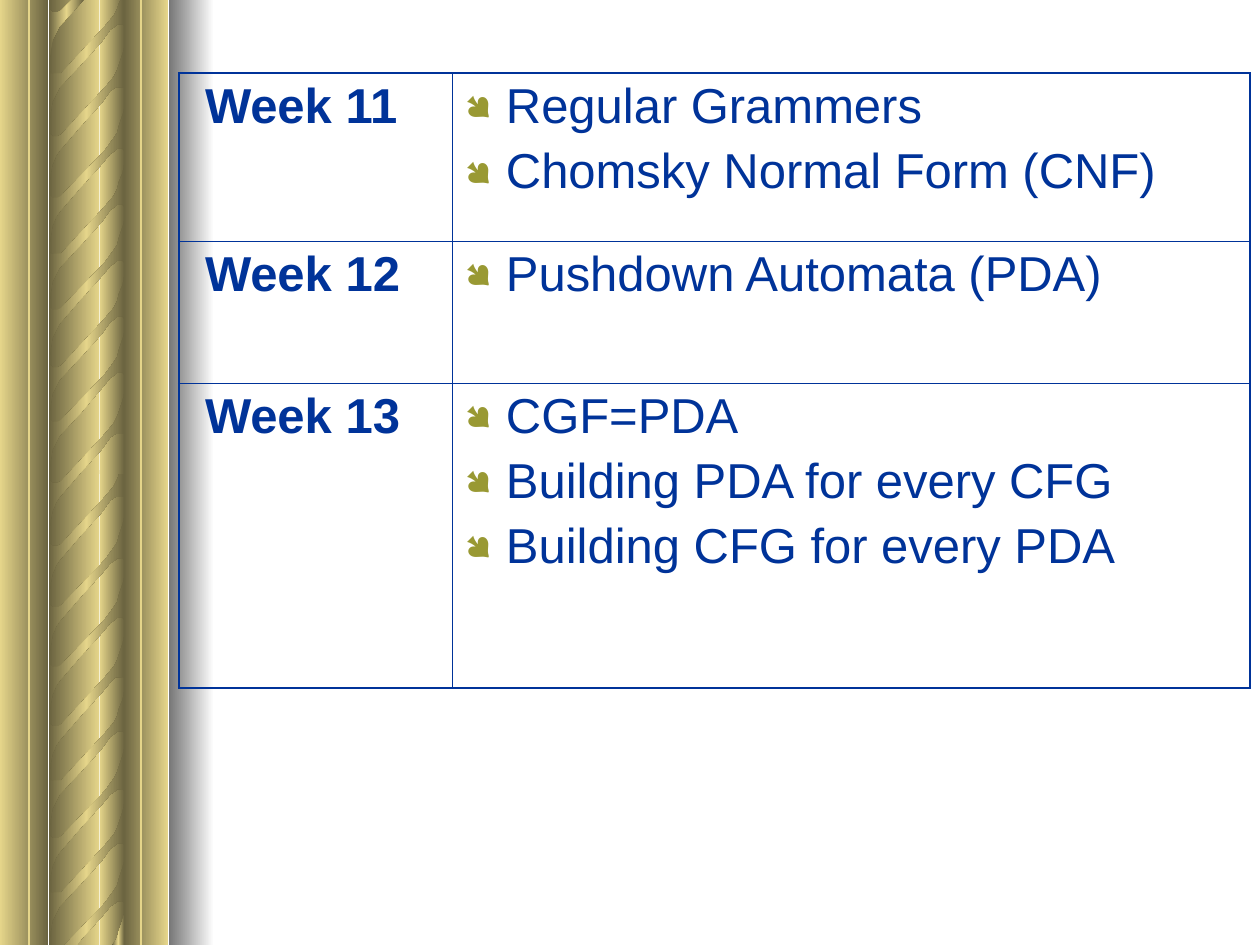
import pptx
import pptx.util
import pptx.dml.color
import pptx.enum.shapes
import pptx.oxml
import pptx.oxml.ns

Pt = pptx.util.Pt
COLORS = {"gold": "E5D58A", "bronze": "6A6340", "shade": "767676",
          "paper": "FFFFFF", "navy": "003399", "olive": "999933"}
WIDTH, HEIGHT = 720, 540
THICK, THIN = 1.08, 0.45

# One strand of the rope, in points, measured from its own top
STRAND = [
    (70.6, 6.5), (70.6, 23.8), (69.8, 23), (67, 23), (65.5, 23.8), (63.4, 25.9),
    (58.3, 32.4), (46.1, 45.4), (33.8, 59), (31.7, 62.6), (29.5, 67), (28.8, 72.7),
    (28.1, 80.6), (28.1, 45.4), (28.1, 49), (28.8, 50.4), (30.2, 51.1), (31.7, 51.1),
    (33.1, 51.1), (35.3, 50.4), (59.8, 23.8), (64.8, 17.3), (67, 13.7), (68.4, 10.1),
    (69.8, 4.3), (70.6, 0), (70.6, 14.4)]

# Left, width and gradient of each pillar band
BANDS = [(56.9, 14.4, ("gold", "bronze")), (0, 27.4, ("gold", "bronze")),
         (28.1, 28.8, ("bronze", "gold")), (70.6, 25.4, ("bronze", "gold"))]

# Top, bottom and strand tops of each pillar half
HALVES = [
    (268.6, 540, [329.8, 363.6, 395.3, 427.7, 459.4, 491.8, 522, 295.9, 260.6]),
    (0, 270.7, [61.9, 94.3, 126, 158.4, 190.1, 26.6, -8.6, -43.9, 224.6])]

WEEKS = [
    ("Week 11", 96, ["Regular Grammers", "Chomsky Normal Form (CNF)"]),
    ("Week 12", 81, ["Pushdown Automata (PDA)"]),
    ("Week 13", 174.5, ["CGF=PDA", "Building PDA for every CFG",
                        "Building CFG for every PDA"])]


def clip(outline, limit, sign):
    """Keep the part of the outline where sign * (y - limit) >= 0."""
    kept = []
    for (x1, y1), (x2, y2) in zip(outline, outline[1:] + outline[:1]):
        inside, next_inside = sign * (y1 - limit) >= 0, sign * (y2 - limit) >= 0
        if inside:
            kept.append((x1, y1))
        if inside != next_inside:
            kept.append((x1 + (x2 - x1) * (limit - y1) / (y2 - y1), limit))
    return kept


class Painter:
    font = "Arial"
    size = 28

    def __init__(self, slide):
        self.slide = slide
        self.shapes = slide.shapes

    def rgb(self, color):
        return pptx.dml.color.RGBColor.from_string(COLORS[color])

    def xml(self, markup):
        start, rest = markup.split(" ", 1)
        return pptx.oxml.parse_xml(f"{start} {pptx.oxml.ns.nsdecls('a')} {rest}")

    def gradient(self, shape, colors):
        shape.shadow.inherit = False
        shape.line.fill.background()
        shape.fill.gradient()
        shape.fill.gradient_angle = 0
        last = len(colors) - 1
        stops = "".join(
            f'<a:gs pos="{100000 * i // last}"><a:srgbClr val="{COLORS[color]}"/></a:gs>'
            for i, color in enumerate(colors))
        old = shape.fill._xPr.find(".//" + pptx.oxml.ns.qn("a:gsLst"))
        old.getparent().replace(old, self.xml(f"<a:gsLst >{stops}</a:gsLst>"))

    def band(self, left, top, width, height, colors):
        shape = self.shapes.add_shape(pptx.enum.shapes.MSO_SHAPE.RECTANGLE,
                                      Pt(left), Pt(top), Pt(width), Pt(height))
        self.gradient(shape, colors)

    def outline(self, points, colors):
        builder = self.shapes.build_freeform(*points[0], scale=Pt(1))
        builder.add_line_segments(points[1:], close=True)
        self.gradient(builder.convert_to_shape(), colors)

    def rule(self, x, color):
        line = self.shapes.add_connector(pptx.enum.shapes.MSO_CONNECTOR.STRAIGHT,
                                         Pt(x), 0, Pt(x), Pt(HEIGHT))
        line.line.color.rgb = self.rgb(color)
        line.line.width = Pt(1)
        line._element.spPr.append(self.xml("<a:effectLst />"))

    def table(self, left, top, widths, heights):
        table = self.shapes.add_table(
            len(heights), len(widths), Pt(left), Pt(top),
            Pt(sum(widths)), Pt(sum(heights))).table
        table.first_row = table.horz_banding = False
        for column, width in zip(table.columns, widths):
            column.width = Pt(width)
        for row, height in zip(table.rows, heights):
            row.height = Pt(height)
        return table

    def borders(self, cell, widths):
        properties = cell._tc.get_or_add_tcPr()
        for side, width in zip(("lnL", "lnR", "lnT", "lnB"), widths):
            properties.append(self.xml(
                f'<a:{side} w="{Pt(width)}"><a:solidFill>'
                f'<a:srgbClr val="{COLORS["navy"]}"/></a:solidFill></a:{side}>'))

    def cell(self, cell, lines, widths, bold=False, bullet=False):
        self.borders(cell, widths)
        cell.fill.background()
        for i, line in enumerate(lines):
            frame = cell.text_frame
            paragraph = frame.add_paragraph() if i else frame.paragraphs[0]
            if i:
                paragraph.space_before = Pt(6)
            if bullet:
                self.bullet(paragraph)
            run = paragraph.add_run()
            run.text = " " + line
            run.font.name, run.font.size, run.font.bold = self.font, Pt(self.size), bold
            run.font.color.rgb = self.rgb("navy")

    def bullet(self, paragraph):
        properties = paragraph._p.get_or_add_pPr()
        properties.set("marL", "0")
        properties.set("indent", "0")
        for markup in (f'<a:buClr ><a:srgbClr val="{COLORS["olive"]}"/></a:buClr>',
                       '<a:buSzPct val="70000"/>',
                       '<a:buFont typeface="Wingdings" charset="2"/>',
                       '<a:buChar char="●"/>'):
            properties.append(self.xml(markup))


def main():
    deck = pptx.Presentation()
    deck.slide_width, deck.slide_height = Pt(WIDTH), Pt(HEIGHT)
    painter = Painter(deck.slides.add_slide(deck.slide_layouts[6]))

    # Rope pillar
    for top, bottom, strand_tops in HALVES:
        for left, width, colors in BANDS:
            painter.band(left, top, width, bottom - top, colors)
        for strand_top in strand_tops:
            strand = [(x, y + strand_top) for x, y in STRAND]
            painter.outline(clip(clip(strand, top, 1), HEIGHT, -1),
                            ("bronze", "gold", "bronze"))

    # Pillar shadow and highlights
    painter.band(96.5, 0, 25.9, HEIGHT, ("shade", "paper"))
    for x in (16.6, 80.6):
        painter.rule(x, "gold")

    # Weekly schedule
    schedule = painter.table(102.2, 41.8, [156.2, 455.8],
                             [height for _, height, _ in WEEKS])
    for i, (week, _, topics) in enumerate(WEEKS):
        upper = THICK if i == 0 else THIN
        lower = THICK if i == len(WEEKS) - 1 else THIN
        painter.cell(schedule.cell(i, 0), [week], (THICK, THIN, upper, lower), bold=True)
        painter.cell(schedule.cell(i, 1), topics, (THIN, THICK, upper, lower), bullet=True)

    deck.save("out.pptx")


if __name__ == "__main__":
    main()
